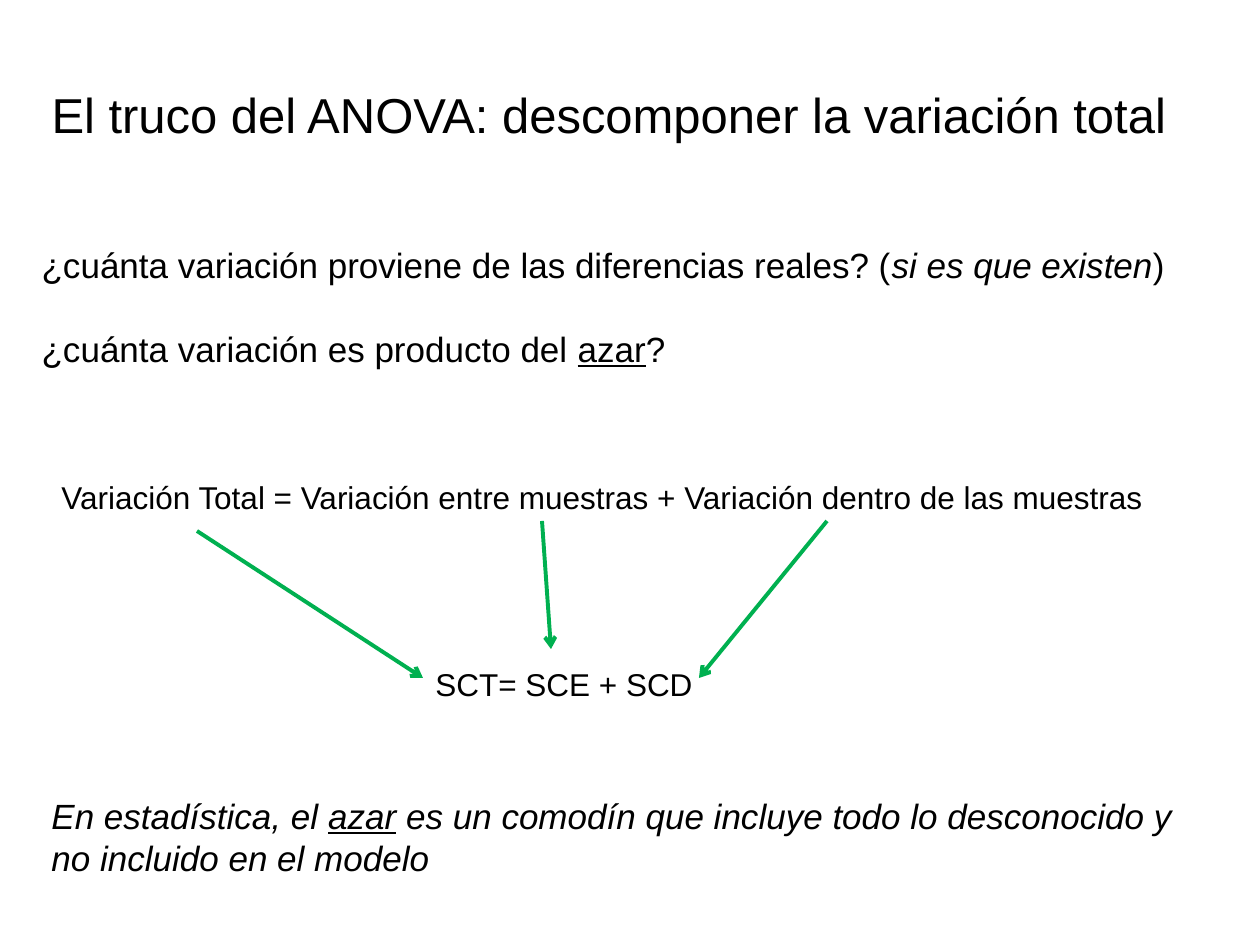
from lxml import etree
from pptx import Presentation
from pptx.dml.color import RGBColor
from pptx.enum.shapes import MSO_CONNECTOR, MSO_SHAPE
from pptx.enum.text import MSO_ANCHOR, MSO_AUTO_SIZE, PP_ALIGN
from pptx.oxml.ns import qn
from pptx.util import Pt

STRAIGHT = MSO_CONNECTOR.STRAIGHT
RECT = MSO_SHAPE.RECTANGLE
TOP, MIDDLE = MSO_ANCHOR.TOP, MSO_ANCHOR.MIDDLE
LEFT = PP_ALIGN.LEFT
NO_FIT = MSO_AUTO_SIZE.NONE

FONT = "Arial"
BLACK, WHITE, GREEN = "000000", "FFFFFF", "00B050"
EMU_PER_PX = 914400 / 126


def px(n):
    return round(n * EMU_PER_PX)


def color(hex_text):
    return RGBColor.from_string(hex_text)


def place(sp, box):
    sp.left, sp.top, sp.width, sp.height = map(px, box)


def add_run(p, text, size=20, italic=False, underline=False):
    r = p.add_run()
    r.text = text
    f = r.font
    f.name, f.size, f.italic, f.underline = FONT, Pt(size), italic, underline
    f.color.rgb = color(BLACK)


def write(sp, paragraphs, gap=0, anchor=TOP, **fmt):
    """Fill sp with paragraphs, each a list of (text, format overrides)."""
    tf = sp.text_frame
    tf.word_wrap = True
    tf.auto_size = NO_FIT
    tf.vertical_anchor = anchor
    for i, runs in enumerate(paragraphs):
        p = tf.paragraphs[0] if i == 0 else tf.add_paragraph()
        p.alignment = LEFT
        p.space_before = Pt(gap if i else 0)
        for text, extra in runs:
            add_run(p, text, **{**fmt, **extra})


def add_title(s, box):
    sp = s.shapes.title
    place(sp, box)
    write(sp, [[("El truco del ANOVA: descomponer la variación total", {})]],
          anchor=MIDDLE, size=28)


def add_questions(s, box):
    sp = s.placeholders[1]
    place(sp, box)
    write(sp, [
        [("¿cuánta variación proviene de las diferencias reales? (", {}),
         ("si es que existen", {"italic": True}), (")", {})],
        [("¿cuánta variación es producto del ", {}),
         ("azar", {"underline": True}), ("?", {})],
    ], gap=24)
    for p in sp.text_frame.paragraphs:
        pPr = p._p.get_or_add_pPr()
        pPr.set("marL", "0")
        pPr.set("indent", "0")
        etree.SubElement(pPr, qn("a:buNone"))


def add_equation(s, box, text):
    sp = s.shapes.add_textbox(*map(px, box))
    write(sp, [[(text, {})]], size=18)


def add_arrow(s, x1, y1, x2, y2):
    cn = s.shapes.add_connector(STRAIGHT, px(x1), px(y1), px(x2), px(y2))
    cn.line.color.rgb = color(GREEN)
    cn.line.width = Pt(2.25)
    etree.SubElement(cn.line._get_or_add_ln(), qn("a:tailEnd"), type="arrow")
    etree.SubElement(cn._element.spPr, qn("a:effectLst"))


def add_decomposition(s, box):
    """Full equation above, short form below, and an arrow for each term."""
    x, y, w, h = box
    add_equation(s, (x, y, w, 50), "Variación Total = Variación entre muestras"
                                   " + Variación dentro de las muestras")
    add_equation(s, (x + 374, y + h - 50, 335, 50), "SCT= SCE + SCD")
    for x1, y1, x2, y2 in ((148, 59, 374, 206), (493, 49, 502, 177),
                           (778, 49, 650, 206)):
        add_arrow(s, x + x1, y + y1, x + x2, y + y2)


def add_remark(s, box):
    sp = s.shapes.add_shape(RECT, *map(px, box))
    sp.shadow.inherit = False
    sp.fill.background()
    sp.line.color.rgb = color(WHITE)
    sp.line.width = Pt(1)
    write(sp, [[
        ("En estadística, el ", {}), ("azar", {"underline": True}),
        (" es un comodín que incluye todo lo desconocido y no incluido"
         " en el modelo", {}),
    ]], italic=True)


def main():
    prs = Presentation()
    prs.slide_width, prs.slide_height = px(1260), px(945)
    s = prs.slides.add_slide(prs.slide_layouts[1])
    add_title(s, (39, 78, 1172, 72))
    add_questions(s, (29, 237, 1191, 140))
    add_remark(s, (39, 788, 1191, 97))
    add_decomposition(s, (49, 472, 1191, 237))
    prs.save("out.pptx")


if __name__ == "__main__":
    main()
